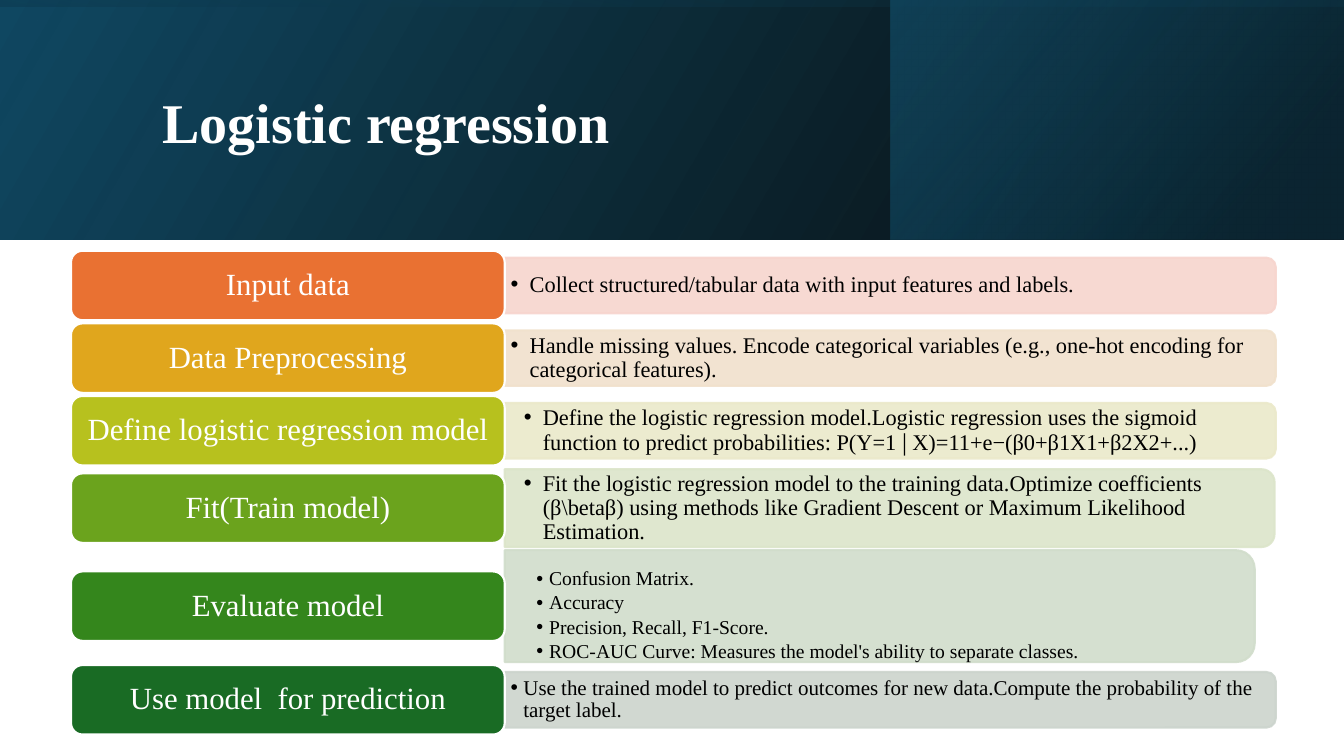
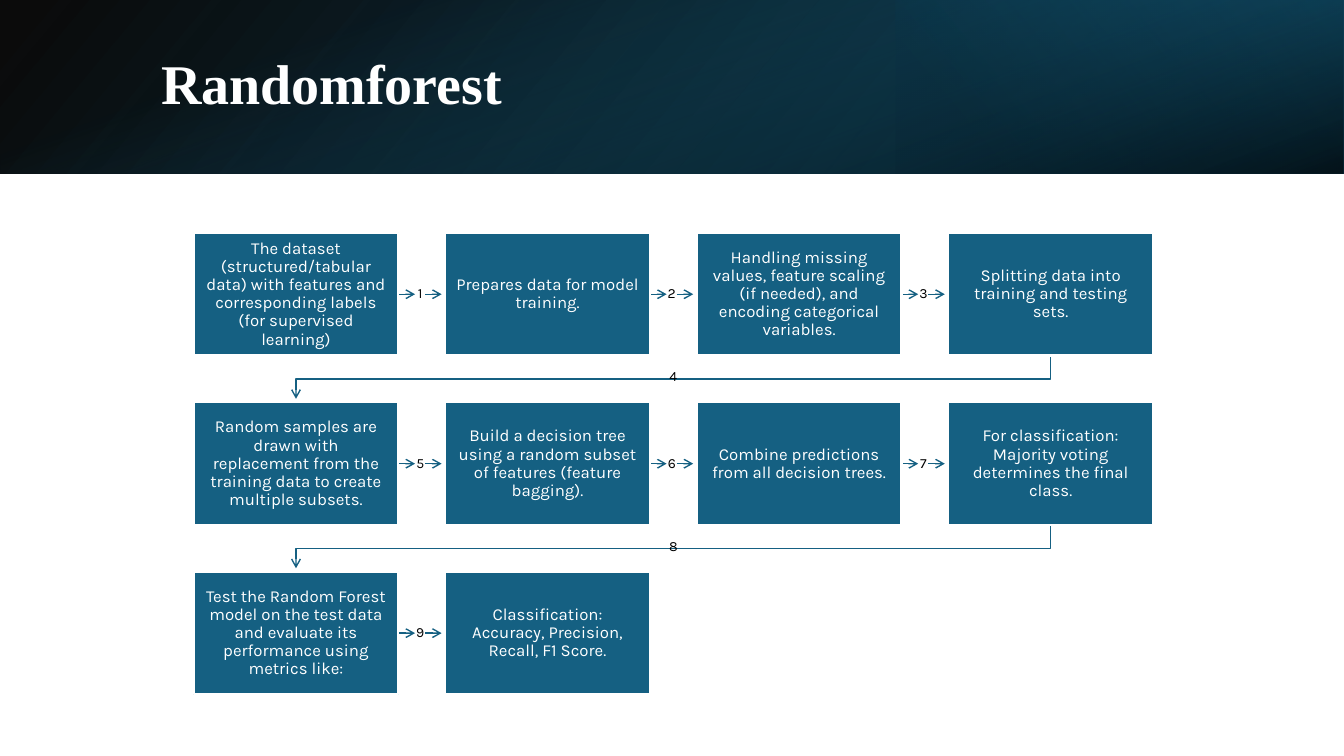
from lxml import etree
from pptx import Presentation
from pptx import util as u
from pptx.dml import color
from pptx.enum import shapes, text
from pptx.oxml import ns

WIDE, HIGH = 33.87, 19.05
SERIF, SANS = "Times New Roman", "Karla"
WHITE, BLACK, NAVY, TEAL, DEEP = "FFFFFF", "000000", "104862", "156082", "0B3041"
KIND = shapes.MSO_SHAPE
MID, LEFT = text.PP_ALIGN.CENTER, text.PP_ALIGN.LEFT

# label, colour, bar colour, label top, bar width, bar height, text format, lines
STEPS = [
    ("Input data", "E97132", "F7D5CE", 6.32, 19.43, 1.4, {},
     ["Collect structured/tabular data with input features and labels."]),
    ("Data Preprocessing", "E0A61D", "F1E1CC", 8.15, 19.43, 1.4, {},
     ["Handle missing values. Encode categorical variables (e.g., one-hot "
      "encoding for categorical features)."]),
    ("Define logistic regression model", "B7C11E", "EBE9CA", 9.98, 19.43, 1.4,
     {"side": 0.48},
     ["Define the logistic regression model.Logistic regression uses the sigmoid "
      "function to predict probabilities: P(Y=1∣X)=11+e−(β0+β1X1+β2X2+...)"]),
    ("Fit(Train model)", "6BA31D", "DCE5CA", 11.93, 19.4, 1.96, {"side": 0.48},
     ["Fit the logistic regression model to the training data.Optimize "
      "coefficients (β\\betaβ) using methods like Gradient Descent or Maximum "
      "Likelihood Estimation."]),
    ("Evaluate model", "34861C", "D1DDCB", 14.4, 18.9, 2.82,
     {"side": 0.48, "top": 0.48, "size": 14, "space": 2.1,
      "indent": 0.64, "hang": 0.32},
     ["Confusion Matrix.", "Accuracy", "Precision, Recall, F1-Score.",
      "ROC-AUC Curve: Measures the model's ability to separate classes."]),
    ("Use model  for prediction", "196B24", "CCD4CD", 16.76, 19.43, 1.4,
     {"size": 15, "indent": 0.32, "hang": 0.32},
     ["Use the trained model to predict outcomes for new data.Compute the "
      "probability of the target label."]),
]

FLOW = [
    "The dataset (structured/tabular data) with features and corresponding "
    "labels (for supervised learning)",
    "Prepares data for model training.",
    "Handling missing values, feature scaling (if needed), and encoding "
    "categorical variables.",
    "Splitting data into training and testing sets.",
    "Random samples are drawn with replacement from the training data to create "
    "multiple subsets.",
    "Build a decision tree using a random subset of features (feature bagging).",
    "Combine predictions from all decision trees.",
    "For classification: Majority voting determines the final class.",
    "Test the Random Forest model on the test data and evaluate its performance "
    "using metrics like:",
    "Classification: Accuracy, Precision, Recall, F1 Score.",
]


def tint(code):
    return color.RGBColor.from_string(code)


def cms(*sizes):
    return [u.Cm(size) for size in sizes]


def apply(item, **values):
    for name, value in values.items():
        setattr(item, name, value)


def fade(node, share):
    """Give a colour element an opacity in percent."""
    etree.SubElement(node, ns.qn("a:alpha"), val=str(share * 1000))


def block(slide, kind, box, fill=None, line=None, turn=0):
    """Add a shape that covers box once it is turned."""
    x, y, w, h = box
    if turn in (90, 270):
        x, y, w, h = x + (w - h) / 2, y + (h - w) / 2, h, w
    shape = slide.shapes.add_shape(kind, *cms(x, y, w, h))
    shape.shadow.inherit = False
    shape.rotation = turn
    if fill:
        shape.fill.solid()
        shape.fill.fore_color.rgb = tint(fill)
    if line:
        shape.line.color.rgb = tint(line)
        shape.line.width = u.Pt(1.5)
    else:
        shape.line.fill.background()
    return shape


def write(shape, lines, size, font, ink, align=MID, bold=False,
          side=0, top=0, space=0, indent=0, hang=0):
    """Fill a shape with paragraphs, bulleted where hang is set."""
    frame = shape.text_frame
    apply(frame, word_wrap=True, vertical_anchor=text.MSO_ANCHOR.MIDDLE,
          margin_left=u.Cm(side), margin_right=u.Cm(side),
          margin_top=u.Cm(top), margin_bottom=0)
    for i, line in enumerate(lines):
        para = frame.add_paragraph() if i else frame.paragraphs[0]
        apply(para, alignment=align, line_spacing=0.9, space_after=u.Pt(space))
        run = para.add_run()
        run.text = line
        apply(run.font, name=font, size=u.Pt(size), bold=bold)
        run.font.color.rgb = tint(ink)
        if hang:
            props = para._p.get_or_add_pPr()
            props.set("marL", str(u.Cm(indent)))
            props.set("indent", str(-u.Cm(hang)))
            etree.SubElement(props, ns.qn("a:buFont"), typeface="Arial")
            etree.SubElement(props, ns.qn("a:buChar"), char="•")


def label(slide, box, lines, *args, **form):
    write(slide.shapes.add_textbox(*cms(*box)), lines, *args, **form)


def band(slide, box, angle, stops, turn=0, flip=False):
    """Add a gradient layer; stops are (place, colour, opacity) in percent."""
    shape = block(slide, KIND.RECTANGLE, box, turn=turn)
    shape.fill.gradient()
    shape.fill.gradient_angle = 360 - angle
    for stop, (place, code, _) in zip(shape.fill.gradient_stops, stops):
        stop.position = place / 100
        stop.color.rgb = tint(code)
    grad = shape.element.spPr.find(ns.qn("a:gradFill"))
    for node, (_, _, share) in zip(grad.iter(ns.qn("a:srgbClr")), stops):
        fade(node, share)
    if flip:
        shape.element.spPr.xfrm.set("flipH", "1")


def header(slide, title, high, split, base, side, over, box):
    """Add three gradient layers and the title; split is where the side one starts."""
    full = (0, 0, WIDE, high)
    band(slide, full, base, [(0, BLACK, 96), (100, NAVY, 100)], flip=True)
    band(slide, (split, 0, WIDE - split, high), **side)
    band(slide, full, **over)
    label(slide, box, [title], 40, SERIF, WHITE, LEFT, True, side=0.25)


def step(slide, x, y, name, fill, pale, wide, high, form, lines):
    """Add one label with its bar, centred on each other."""
    w, h = 10.93, 1.75
    box = (x + w, y + (h - high) / 2, wide, high)
    bar = block(slide, KIND.ROUND_2_SAME_RECTANGLE, box, pale, pale, 90)
    for node in bar.element.spPr.iter(ns.qn("a:srgbClr")):
        fade(node, 90)
    look = {"size": 16, "side": 0.15, "space": 2.4, "indent": 0.48, "hang": 0.48}
    label(slide, box, lines, font=SERIF, ink=BLACK, align=LEFT, **{**look, **form})
    tab = block(slide, KIND.ROUNDED_RECTANGLE, (x, y, w, h), fill, WHITE)
    write(tab, [name], 22, SERIF, WHITE, side=0.2)


def arrow(slide, *legs):
    """Draw open lines, each a list of points, with an arrowhead at each end."""
    maker = slide.shapes.build_freeform(*cms(*legs[0][0]))
    for i, (start, *ends) in enumerate(legs):
        if i:
            maker.move_to(*cms(*start))
        maker.add_line_segments([cms(*end) for end in ends], close=False)
    shape = maker.convert_to_shape()
    shape.fill.background()
    shape.shadow.inherit = False
    shape.line.color.rgb = tint(TEAL)
    shape.line.width = u.Pt(1)
    etree.SubElement(shape.line._get_or_add_ln(), ns.qn("a:tailEnd"), type="arrow")
    return shape


def number(slide, x, y, count, w=0.26):
    """Write a step number centred on a point."""
    h = 0.4
    label(slide, (x - w / 2, y - h / 2, w, h), [str(count)], 10, SANS, BLACK)


def hop(slide, x, y, count):
    """Add an arrow to the right, broken by its number."""
    shape = arrow(slide, [(x, y), (x + 0.42, y)], [(x + 0.68, y), (x + 1.09, y)])
    # a flat outline has no height, so centre it in a frame that has one
    half = u.Cm(0.12)
    apply(shape, top=shape.top - half, height=2 * half)
    for node in shape.element.iter(ns.qn("a:path")):
        node.set("h", str(2 * half))
    for node in shape.element.iter(ns.qn("a:pt")):
        node.set("y", str(half))
    number(slide, x + 0.55, y, count)


def wrap(slide, x, y, back, count):
    """Add an arrow from the end of a row to the start of the next."""
    bend = y + 0.59
    arrow(slide, [(x, y), (x, bend), (back, bend), (back, y + 1.09)])
    number(slide, (x + back) / 2, bend - 0.04, count, 0.94)


def flow(slide, x, y, items, cols=4):
    """Lay out numbered steps in rows, joined by arrows."""
    w, h, dx, dy = 5.16, 3.09, 6.34, 4.27
    for i, item in enumerate(items):
        row, col = divmod(i, cols)
        left, top = x + col * dx, y + row * dy
        if i + 1 < len(items):
            if col + 1 < cols:
                hop(slide, left + w, top + h / 2, i + 1)
            else:
                wrap(slide, left + w / 2, top + h, x + w / 2, i + 1)
        card = block(slide, KIND.RECTANGLE, (left, top, w, h), TEAL, WHITE)
        write(card, [item], 12, SANS, WHITE, side=0.25)


def logistic(slide):
    header(slide, "Logistic regression", 6.03, 22.45, 330,
           {"angle": 320, "stops": [(19, DEEP, 68), (100, TEAL, 48)], "flip": True},
           {"angle": 350, "stops": [(23, NAVY, 16), (99, BLACK, 45)],
            "turn": 270, "flip": True},
           (3.85, 0.97, 27, 4.37))
    for name, fill, pale, y, *rest in STEPS:
        step(slide, 1.79, y, name, fill, pale, *rest)


def forest(slide):
    header(slide, "Randomforest", 4.37, 22.58, 140,
           {"angle": 140, "stops": [(19, DEEP, 68), (100, TEAL, 79)], "turn": 180},
           {"angle": 340, "stops": [(23, TEAL, 0), (99, BLACK, 74)], "turn": 90},
           (3.81, 0.97, 27.89, 2.42))
    flow(slide, 4.88, 5.87, FLOW)


def main():
    deck = Presentation()
    apply(deck, slide_width=u.Cm(WIDE), slide_height=u.Cm(HIGH))
    for build in (logistic, forest):
        build(deck.slides.add_slide(deck.slide_layouts[6]))
    deck.save("out.pptx")


if __name__ == "__main__":
    main()
